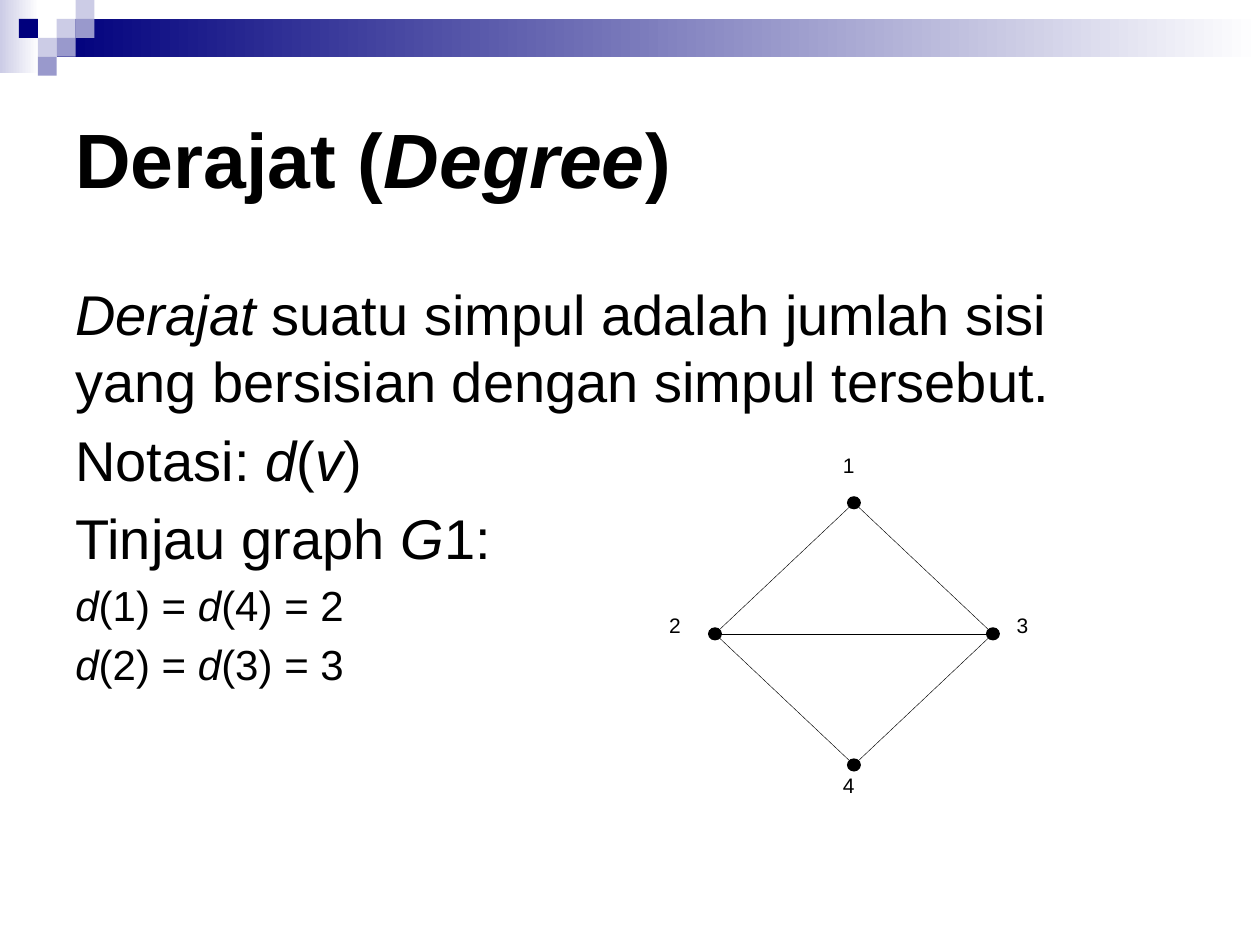
from dataclasses import dataclass

from lxml.etree import SubElement
from pptx import Presentation
from pptx.dml.color import RGBColor
from pptx.enum.shapes import MSO_CONNECTOR as Connector, MSO_SHAPE as Shape
from pptx.enum.text import MSO_ANCHOR as Anchor
from pptx.oxml.ns import qn
from pptx.util import Pt


@dataclass(frozen=True)
class Theme:
    font: str = "Arial"
    ink: str = "000000"
    paper: str = "FFFFFF"
    navy: str = "00007D"
    lilac: str = "9999CC"
    pale: str = "CCCCE6"
    title_size: float = 44
    body_size: float = 32
    detail_size: float = 24
    label_size: float = 12
    hairline: float = 0.25


class SlideBuilder:
    def __init__(self, slide, theme):
        self.slide = slide
        self.theme = theme

    def block(self, left, top, width, height, *colors, kind=Shape.RECTANGLE):
        """Add a borderless shape; two colors make a left-to-right gradient."""
        block = self.slide.shapes.add_shape(kind, Pt(left), Pt(top), Pt(width), Pt(height))
        block.shadow.inherit = False
        block.line.fill.background()
        if len(colors) == 2:
            block.fill.gradient()
            block.fill.gradient_angle = 0
            for stop, color in zip(block.fill.gradient_stops, colors):
                stop.color.rgb = RGBColor.from_string(color)
        else:
            block.fill.solid()
            block.fill.fore_color.rgb = RGBColor.from_string(colors[0])

    def text(self, left, top, width, height, lines, bold=False, anchor=Anchor.TOP,
             margins=(7.2, 3.6, 7.2, 3.6), wrap=True):
        """Add (markup, size) lines; stars in the markup enclose italics."""
        box = self.slide.shapes.add_textbox(Pt(left), Pt(top), Pt(width), Pt(height))
        frame = box.text_frame
        frame.word_wrap = wrap
        frame.vertical_anchor = anchor
        (frame.margin_left, frame.margin_top,
         frame.margin_right, frame.margin_bottom) = map(Pt, margins)
        for index, (markup, size) in enumerate(lines):
            paragraph = frame.add_paragraph() if index else frame.paragraphs[0]
            if index:
                paragraph.space_before = Pt(0.2 * size)
            for part, words in enumerate(markup.split("*")):
                if words:
                    run = paragraph.add_run()
                    run.text = words
                    run.font.name = self.theme.font
                    run.font.size = Pt(size)
                    run.font.bold = bold
                    run.font.italic = part % 2 == 1
                    run.font.color.rgb = RGBColor.from_string(self.theme.ink)

    def edge(self, start, end):
        edge = self.slide.shapes.add_connector(Connector.STRAIGHT, *map(Pt, start + end))
        edge.line.color.rgb = RGBColor.from_string(self.theme.ink)
        edge.line.width = Pt(self.theme.hairline)
        SubElement(edge._element.spPr, qn("a:effectLst"))

    def vertex(self, center, width=8, height=7.5):
        x, y = center
        self.block(x - width / 2, y - height / 2, width, height, self.theme.ink,
                   kind=Shape.OVAL)

    def label(self, left, top, words):
        self.text(left, top, 6.5, 14.4, [(words, self.theme.label_size)],
                  margins=(0, 0, 0, 0), wrap=False)


def draw_banner(builder):
    theme, cell = builder.theme, 10.8
    builder.block(0, 0, 22.3, 41.8, theme.pale, theme.paper)
    builder.block(3 * cell, cell, 720 - 3 * cell, 2 * cell, theme.navy, theme.paper)
    squares = [(3, 1, theme.pale), (4, 0, theme.pale), (4, 1, theme.lilac),
               (2, 2, theme.pale), (1, 1, theme.navy), (3, 2, theme.lilac),
               (2, 3, theme.lilac)]
    for column, row, color in squares:
        builder.block(column * cell, row * cell, cell, cell, color)


def draw_graph(builder):
    center_x, center_y, reach_x, reach_y = 488, 362.2, 79.4, 74.9
    vertices = {
        "1": (center_x, center_y - reach_y),
        "2": (center_x - reach_x, center_y),
        "3": (center_x + reach_x, center_y),
        "4": (center_x, center_y + reach_y),
    }
    label_corners = {"1": (481.7, 258.5), "2": (382.3, 349.9),
                     "3": (581, 349.9), "4": (481.7, 441.4)}
    for center in vertices.values():
        builder.vertex(center)
    for start, end in ("12", "24", "13", "34", "23"):
        builder.edge(vertices[start], vertices[end])
    for name, corner in label_corners.items():
        builder.label(*corner, name)


def main():
    theme = Theme()
    deck = Presentation()
    deck.slide_width, deck.slide_height = Pt(720), Pt(540)
    builder = SlideBuilder(deck.slides.add_slide(deck.slide_layouts[6]), theme)

    draw_banner(builder)
    builder.text(36, 36, 648, 108, [("Derajat (*Degree*)", theme.title_size)],
                 bold=True, anchor=Anchor.MIDDLE)
    builder.text(36, 156.2, 648, 306, [
        ("*Derajat *suatu simpul adalah jumlah sisi yang bersisian dengan simpul tersebut.",
         theme.body_size),
        ("Notasi: *d*(*v*)", theme.body_size),
        ("Tinjau graph *G*1:", theme.body_size),
        ("*d*(1) = *d*(4) = 2", theme.detail_size),
        ("*d*(2) = *d*(3) = 3", theme.detail_size),
    ], margins=(7.2, 3.6, 14.4, 3.6))
    draw_graph(builder)
    deck.save("out.pptx")


if __name__ == "__main__":
    main()
